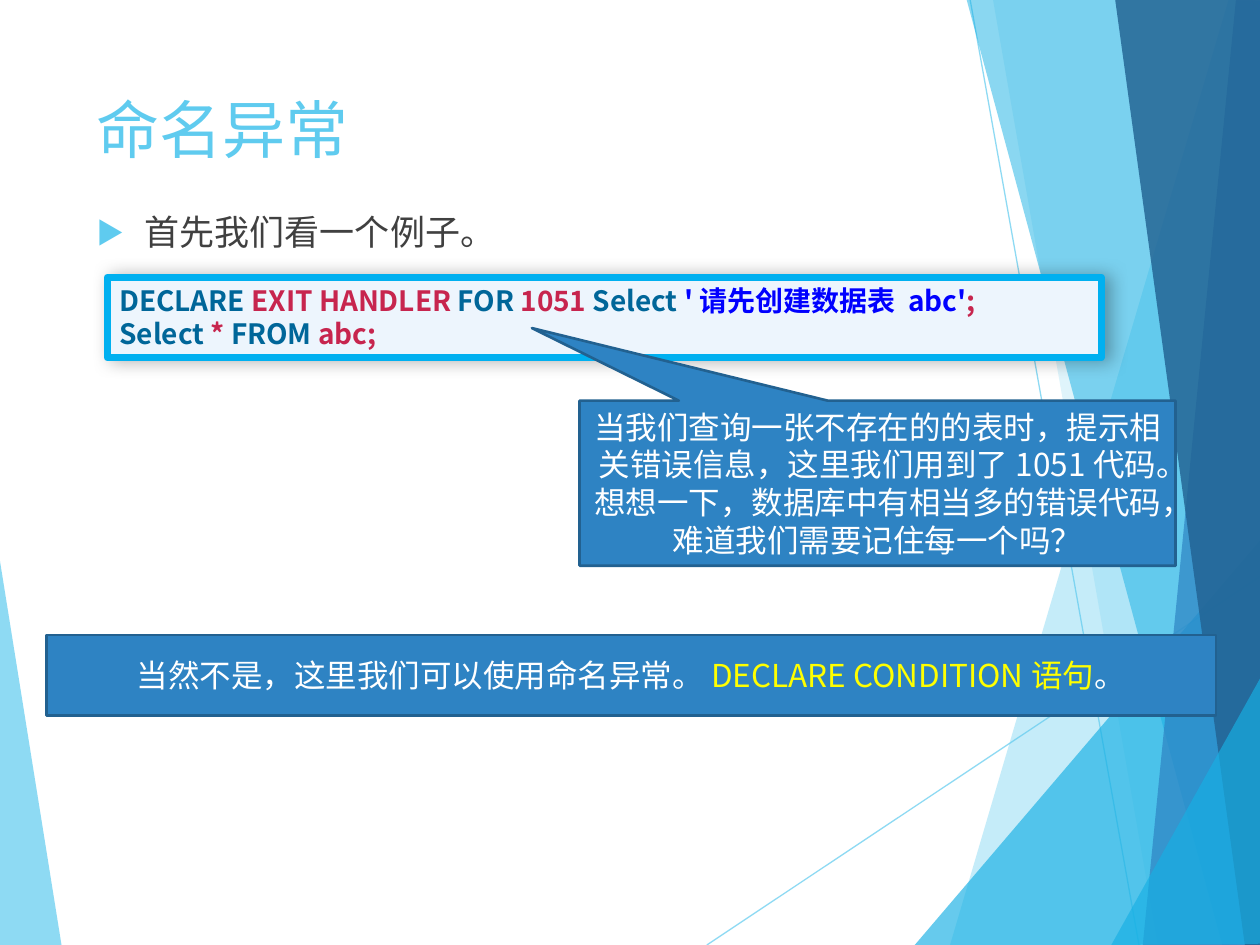
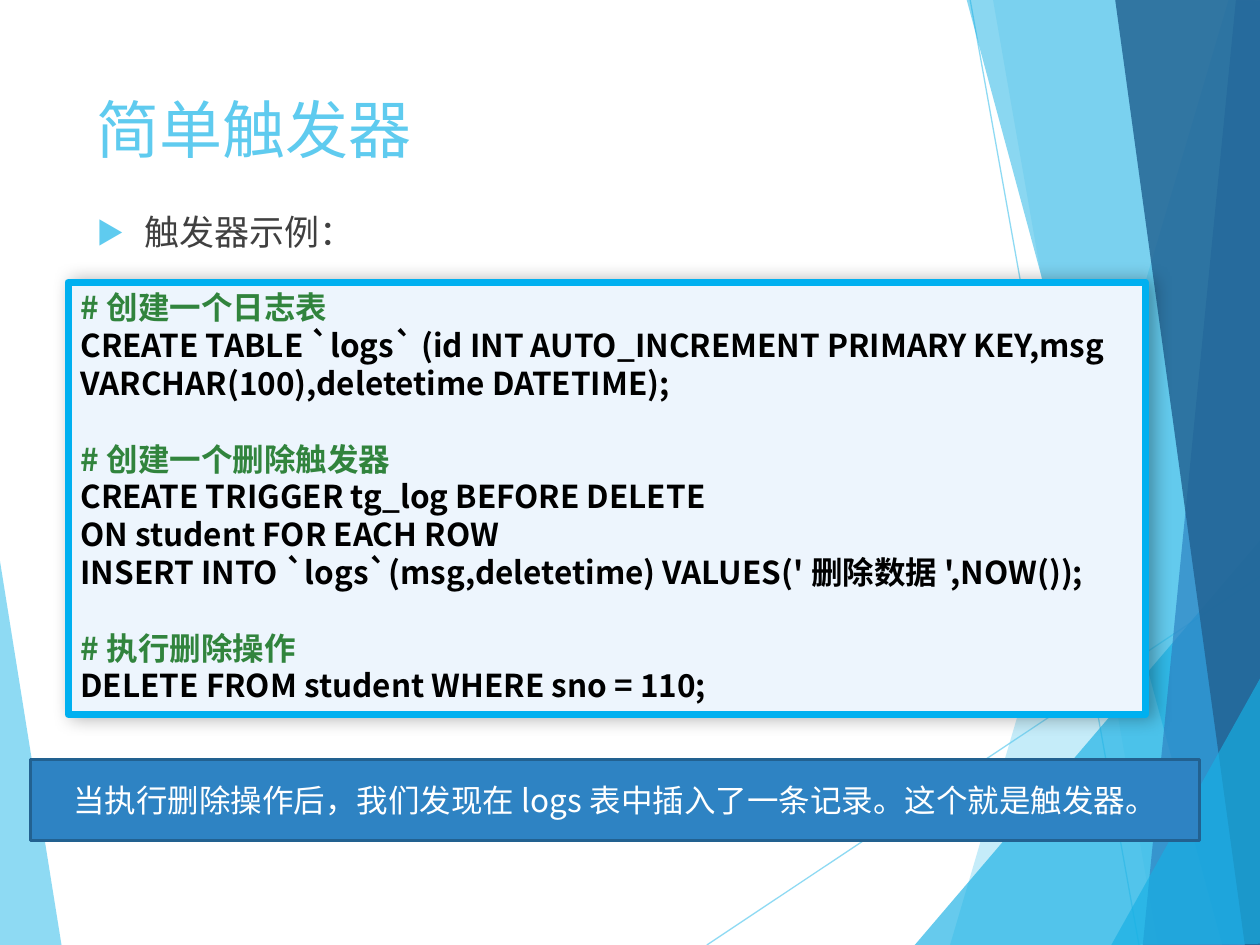
from dataclasses import dataclass

from lxml.etree import SubElement
from pptx import Presentation
from pptx.dml.color import RGBColor
from pptx.enum.shapes import MSO_CONNECTOR as Connector, MSO_SHAPE as Shape
from pptx.enum.text import MSO_ANCHOR as Anchor, PP_ALIGN as Align
from pptx.oxml.ns import qn
from pptx.util import Inches, Pt


@dataclass(frozen=True)
class Theme:
    font: str = "Noto Sans CJK SC"
    # Colours
    sky: str = "5FCBEF"
    cyan: str = "17B0E4"
    blue: str = "2E83C3"
    navy: str = "226292"
    blue_edge: str = "226190"
    code_fill: str = "EDF5FD"
    code_edge: str = "00B0F0"
    body: str = "404040"
    white: str = "FFFFFF"
    black: str = "000000"
    yellow: str = "FFFF00"
    keyword: str = "006699"
    value: str = "C7254E"
    string: str = "0000FF"
    comment: str = "31843D"
    # Type sizes in points
    title_size: int = 36
    body_size: int = 20
    note_size: int = 18
    small_code_size: int = 16


THEME = Theme()

# Backdrop facets: colour, opacity in percent, corner points in inches
FACETS = [
    (THEME.sky, 36, [(9.75, 0), (7.54, 7.5), (10.02, 7.51), (10.01, 0.01)]),
    (THEME.sky, 20, [(7.88, -0.01), (9.19, 7.5), (10.01, 7.5), (10.01, -0.01)]),
    (THEME.cyan, 66, [(7.26, 7.5), (10, 4.29), (10.01, 7.5)]),
    (THEME.cyan, 50, [(7.67, -0.01), (9.7, 7.5), (10.01, 7.49), (10.01, -0.01)]),
    (THEME.blue, 70, [(9.81, -0.01), (9.07, 7.5), (10.01, 7.5), (10, -0.01)]),
    (THEME.navy, 82, [(8.85, -0.01), (9.88, 7.5), (10.02, 7.5), (10, -0.01)]),
    (THEME.cyan, 66, [(8.82, 7.5), (10.02, 5.35), (10.02, 7.49)]),
]
LEFT_FACET = (THEME.sky, 70, [(-0.01, 4.39), (0.49, 7.51), (-0.01, 7.5)])
RAYS = [((5.61, 7.5), (10.01, 4.57)), ((7.7, 0), (9.04, 7.5))]


class Deck:
    def __init__(self, theme):
        self.theme = theme
        self.prs = Presentation()
        self.prs.slide_width, self.prs.slide_height = Inches(10), Inches(7.5)
        self.slide = None

    def new_slide(self, title, point):
        self.slide = self.prs.slides.add_slide(self.prs.slide_layouts[6])
        self.backdrop()
        self.title(title)
        self.bullet(point)

    # Shared backdrop
    def backdrop(self):
        group = self.slide.shapes.add_group_shape().shapes
        self.facet(group, *LEFT_FACET)
        for start, end in RAYS:
            self.ray(group, start, end)
        for facet in FACETS:
            self.facet(group, *facet)

    def facet(self, group, color, opacity, corners):
        points = [(Inches(x), Inches(y)) for x, y in corners]
        builder = group.build_freeform(*points[0])
        builder.add_line_segments(points[1:], close=True)
        facet = builder.convert_to_shape()
        facet.shadow.inherit = False
        facet.line.fill.background()
        self.paint(facet.fill, color)
        self.set_opacity(facet, opacity)

    def ray(self, group, start, end):
        ray = group.add_connector(Connector.STRAIGHT, *map(Inches, start + end))
        ray.line.width = Pt(0.75)
        self.paint(ray.line.fill, self.theme.sky)
        self.set_opacity(ray, 70)
        SubElement(ray._element.spPr, qn("a:effectLst"))

    # Formatting helpers
    @staticmethod
    def paint(fill, color):
        fill.solid()
        fill.fore_color.rgb = RGBColor.from_string(color)

    @staticmethod
    def set_opacity(shape, percent):
        color = next(shape._element.spPr.iter(qn("a:srgbClr")))
        SubElement(color, qn("a:alpha"), val=str(percent * 1000))

    def add_pieces(self, paragraph, pieces, size, bold=False):
        """Fill a paragraph with (text, colour) pieces."""
        for text, color in pieces:
            run = paragraph.add_run()
            run.text = text
            font = run.font
            font.name, font.size, font.bold = self.theme.font, Pt(size), bold
            font.color.rgb = RGBColor.from_string(color)
            SubElement(run._r.rPr, qn("a:ea"), typeface=self.theme.font)

    # Text elements
    def text_box(self, box, text, size, color):
        frame = self.slide.shapes.add_textbox(*map(Inches, box)).text_frame
        frame.word_wrap = True
        self.add_pieces(frame.paragraphs[0], [(text, color)], size)
        return frame.paragraphs[0]

    def title(self, text):
        self.text_box((0.67, 0.67, 8.43, 0.71), text,
                      self.theme.title_size, self.theme.sky)

    def bullet(self, text):
        point = self.text_box((0.67, 1.62, 8.43, 4.82), text,
                              self.theme.body_size, self.theme.body)
        point.space_before = Pt(10)
        props = point._p.get_or_add_pPr()
        props.set("marL", str(Inches(0.38)))
        props.set("indent", str(-Inches(0.38)))
        color = SubElement(props, qn("a:buClr"))
        SubElement(color, qn("a:srgbClr"), val=self.theme.sky)
        SubElement(props, qn("a:buSzPct"), val="80000")
        SubElement(props, qn("a:buFont"), typeface=self.theme.font)
        SubElement(props, qn("a:buChar"), char="▶")

    # Boxes
    def panel(self, kind, box, fill, edge, edge_width):
        panel = self.slide.shapes.add_shape(kind, *map(Inches, box))
        panel.shadow.inherit = False
        self.paint(panel.fill, fill)
        self.paint(panel.line.fill, edge)
        panel.line.width = Pt(edge_width)
        panel.text_frame.word_wrap = True
        return panel

    def code(self, box, blocks, size):
        """Draw code; each block of lines after the first starts after a gap."""
        panel = self.panel(Shape.RECTANGLE, box, self.theme.code_fill,
                           self.theme.code_edge, 4)
        effects = panel._element.spPr.find(qn("a:effectLst"))
        shadow = SubElement(effects, qn("a:outerShdw"), blurRad=str(Pt(10)),
                            dist=str(Pt(3)), dir="0", rotWithShape="0")
        color = SubElement(shadow, qn("a:srgbClr"), val=self.theme.black)
        SubElement(color, qn("a:alpha"), val="30000")
        frame = panel.text_frame
        frame.vertical_anchor = Anchor.TOP
        for block_no, block in enumerate(blocks):
            for line_no, pieces in enumerate(block):
                first = block_no == line_no == 0
                line = frame.paragraphs[0] if first else frame.add_paragraph()
                line.alignment = Align.LEFT
                if block_no and not line_no:
                    line.space_before = Pt(size * 1.2)
                self.add_pieces(line, pieces, size, bold=True)

    def note(self, box, pieces, kind=Shape.RECTANGLE):
        panel = self.panel(kind, box, self.theme.blue, self.theme.blue_edge, 1.5)
        panel.text_frame.vertical_anchor = Anchor.MIDDLE
        paragraph = panel.text_frame.paragraphs[0]
        paragraph.alignment = Align.CENTER
        self.add_pieces(paragraph, pieces, self.theme.note_size)
        return panel

    def callout(self, box, text, tip):
        callout = self.note(box, [(text, self.theme.white)],
                            Shape.RECTANGULAR_CALLOUT)
        callout.adjustments[0], callout.adjustments[1] = tip


deck = Deck(THEME)

# Slide 1: named exceptions
deck.new_slide("命名异常", "首先我们看一个例子。")
handler_code = [[
    [("DECLARE\u00a0", THEME.keyword), ("EXIT HANDLER\u00a0", THEME.value),
     ("FOR\u00a0", THEME.keyword), ("1051\u00a0", THEME.value),
     ("Select\u00a0", THEME.keyword), ("'请先创建数据表 abc'", THEME.string),
     (";", THEME.value)],
    [("Select\u00a0", THEME.keyword), ("*\u00a0", THEME.value),
     ("FROM\u00a0", THEME.keyword), ("abc;", THEME.value)],
]]
deck.code((0.85, 2.2, 7.89, 0.64), handler_code, THEME.small_code_size)
deck.callout(
    (4.6, 3.18, 4.73, 1.31),
    "当我们查询一张不存在的的表时，提示相关错误信息，这里我们用到了1051代码。"
    "想想一下，数据库中有相当多的错误代码，难道我们需要记住每一个吗？",
    tip=(-0.58, -0.94))
deck.note((0.37, 5.04, 9.28, 0.64), [
    ("当然不是，这里我们可以使用命名异常。", THEME.white),
    ("DECLARE CONDITION语句", THEME.yellow),
    ("。", THEME.white)])

# Slide 2: a simple trigger
deck.new_slide("简单触发器", "触发器示例：")
trigger_steps = [
    ("#创建一个日志表",
     "CREATE TABLE `logs` (id INT AUTO_INCREMENT PRIMARY KEY,msg "
     "VARCHAR(100),deletetime DATETIME);"),
    ("#创建一个删除触发器",
     "CREATE TRIGGER tg_log BEFORE DELETE",
     "ON student FOR EACH ROW",
     "INSERT INTO `logs`(msg,deletetime) VALUES('删除数据',NOW());"),
    ("#执行删除操作",
     "DELETE FROM student WHERE sno = 110;"),
]
trigger_code = [
    [[(line, THEME.comment if line.startswith("#") else THEME.black)]
     for line in step]
    for step in trigger_steps]
deck.code((0.54, 2.24, 8.55, 3.43), trigger_code, THEME.note_size)
deck.note((0.24, 6.03, 9.28, 0.64), [
    ("当执行删除操作后，我们发现在logs表中插入了一条记录。这个就是触发器。",
     THEME.white)])

deck.prs.save("out.pptx")
